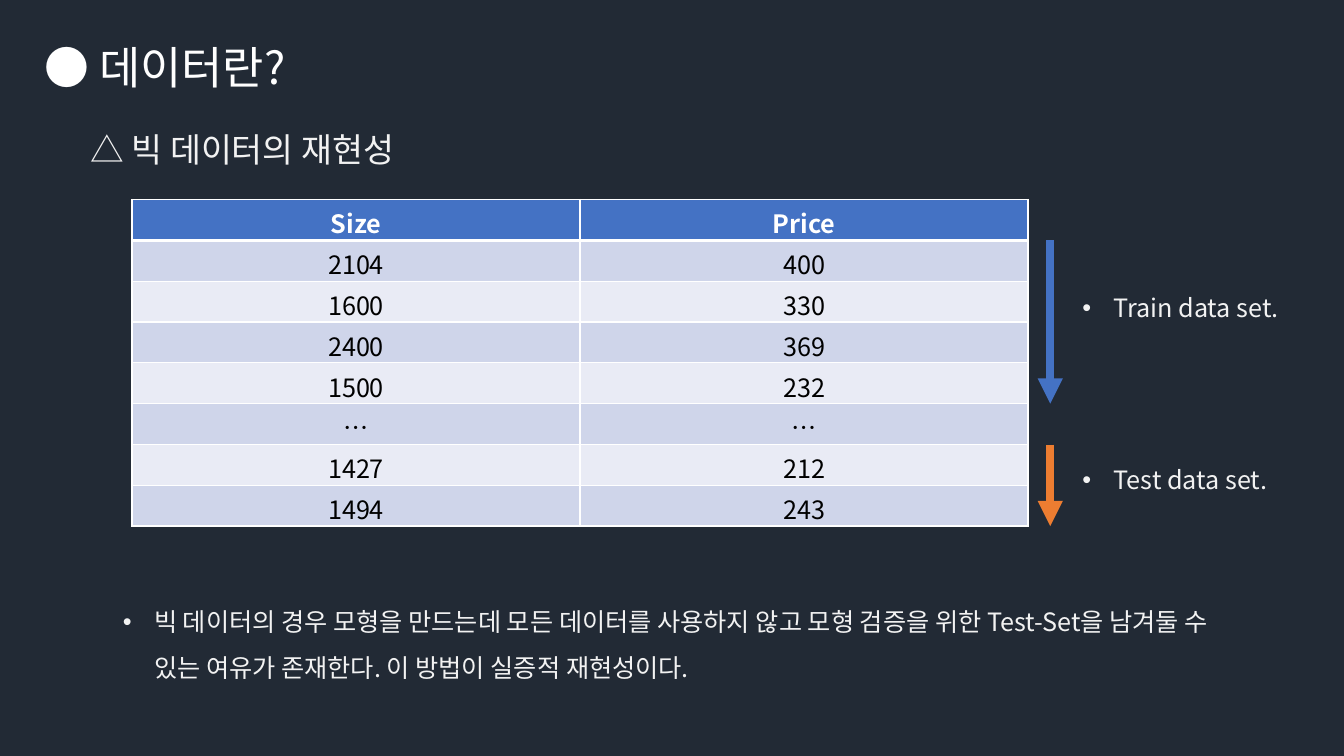
from dataclasses import dataclass

from lxml import etree
from pptx import Presentation, util as u
from pptx.dml.color import RGBColor
from pptx.enum import shapes, text
from pptx.oxml import ns

TITLE = "● 데이터란?"
SUBTITLE = "△ 빅 데이터의 재현성"
SUMMARY = ("빅 데이터의 경우 모형을 만드는데 모든 데이터를 사용하지 않고 모형 검증을 위한 "
           "Test-Set을 남겨둘 수 있는 여유가 존재한다. 이 방법이 실증적 재현성이다.")
HOUSES = [
    ("Size", "Price"),
    ("2104", "400"),
    ("1600", "330"),
    ("2400", "369"),
    ("1500", "232"),
    ("…", "…"),
    ("1427", "212"),
    ("1494", "243"),
]


@dataclass(frozen=True)
class Theme:
    font: str = "Noto Sans CJK KR"
    title: int = 32
    subtitle: int = 24
    body: int = 18
    back: str = "222A35"
    white: str = "FFFFFF"
    pale: str = "F2F2F2"
    black: str = "000000"
    blue: str = "4472C4"
    orange: str = "ED7D31"
    bands: tuple = ("E9EBF5", "CFD5EA")


THEME = Theme()

# label, first table row, row after the last, label top in rows, colour
DATA_SETS = [
    ("Train data set.", 1, 5, 1.78, THEME.blue),
    ("Test data set.", 6, 8, 6, THEME.orange),
]

WIDTH, HEIGHT = 13.33, 7.5
TABLE_LEFT, TABLE_TOP = 1.31, 1.98
COLUMN, ROW = WIDTH / 3, HEIGHT * 0.054
TABLE_RIGHT = TABLE_LEFT + COLUMN * len(HOUSES[0])
ARROW_X, LABEL_X = TABLE_RIGHT + 0.22, TABLE_RIGHT + 0.44
INDENT = 0.31


def row_top(row):
    return TABLE_TOP + row * ROW


def add_xml(parent, tag, **attributes):
    return etree.SubElement(parent, ns.qn(tag), **attributes)


def style(para, size, color, bold=False):
    """Set one font for both Latin and Korean letters of a paragraph."""
    font = para.font
    font.name, font.size, font.bold = THEME.font, u.Pt(size), bold
    font.color.rgb = RGBColor.from_string(color)
    latin = para._p.pPr.find(ns.qn("a:defRPr")).find(ns.qn("a:latin"))
    east = etree.Element(ns.qn("a:ea"), typeface=THEME.font)
    latin.addnext(east)


def add_text(page, words, left, top, width, height, size, color, bullet=False):
    box = page.shapes.add_textbox(*map(u.Inches, (left, top, width, height)))
    frame = box.text_frame
    frame.word_wrap = True
    frame.auto_size = text.MSO_AUTO_SIZE.SHAPE_TO_FIT_TEXT
    para = frame.paragraphs[0]
    para.text = words
    if bullet:
        para.line_spacing = 1.5
        props = para._p.get_or_add_pPr()
        props.set("marL", str(u.Inches(INDENT)))
        props.set("indent", str(-u.Inches(INDENT)))
        add_xml(props, "a:buFont", typeface="Arial")
        add_xml(props, "a:buChar", char="•")
    style(para, size, color)


def add_borders(cell, bottom):
    props = cell._tc.get_or_add_tcPr()
    for side, points in (("L", 1), ("R", 1), ("T", 1), ("B", bottom)):
        line = add_xml(props, f"a:ln{side}", w=str(u.Pt(points)))
        add_xml(add_xml(line, "a:solidFill"), "a:srgbClr", val=THEME.white)


def add_houses(page):
    frame = page.shapes.add_table(
        len(HOUSES), len(HOUSES[0]), u.Inches(TABLE_LEFT), u.Inches(TABLE_TOP),
        u.Inches(TABLE_RIGHT - TABLE_LEFT), u.Inches(ROW * len(HOUSES)))
    table = frame.table
    table.horz_banding = False
    for r, values in enumerate(HOUSES):
        header = r == 0
        table.rows[r].height = u.Inches(ROW)
        for c, value in enumerate(values):
            cell = table.cell(r, c)
            add_borders(cell, bottom=3 if header else 1)
            cell.fill.solid()
            cell.fill.fore_color.rgb = RGBColor.from_string(
                THEME.blue if header else THEME.bands[r % 2])
            para = cell.text_frame.paragraphs[0]
            para.text = value
            para.alignment = text.PP_ALIGN.CENTER
            style(para, THEME.body, THEME.white if header else THEME.black, header)


def add_arrow(page, top, bottom, color):
    arrow = page.shapes.add_connector(
        shapes.MSO_CONNECTOR.STRAIGHT,
        *map(u.Inches, (ARROW_X, top, ARROW_X, bottom)))
    arrow.line.width = u.Pt(6)
    arrow.line.color.rgb = RGBColor.from_string(color)
    add_xml(arrow.line._get_or_add_ln(), "a:tailEnd", type="triangle")
    add_xml(arrow._element.spPr, "a:effectLst")


def main():
    deck = Presentation()
    deck.slide_width, deck.slide_height = u.Inches(WIDTH), u.Inches(HEIGHT)
    page = deck.slides.add_slide(deck.slide_layouts[6])
    page.background.fill.solid()
    page.background.fill.fore_color.rgb = RGBColor.from_string(THEME.back)

    add_text(page, TITLE, 0.34, 0.34, 9.09, 0.64, THEME.title, THEME.white)
    add_text(page, SUBTITLE, 0.8, 1.23, 11.09, 0.5, THEME.subtitle, THEME.pale)
    add_text(page, SUMMARY, 1.12, 5.82, 11.09, 0.95, THEME.body, THEME.pale, bullet=True)
    add_houses(page)
    for label, first, end, label_row, color in DATA_SETS:
        add_arrow(page, row_top(first), row_top(end), color)
        add_text(page, label, LABEL_X, row_top(label_row), 2.21, 0.5,
                 THEME.body, THEME.pale, bullet=True)
    deck.save("out.pptx")


if __name__ == "__main__":
    main()
